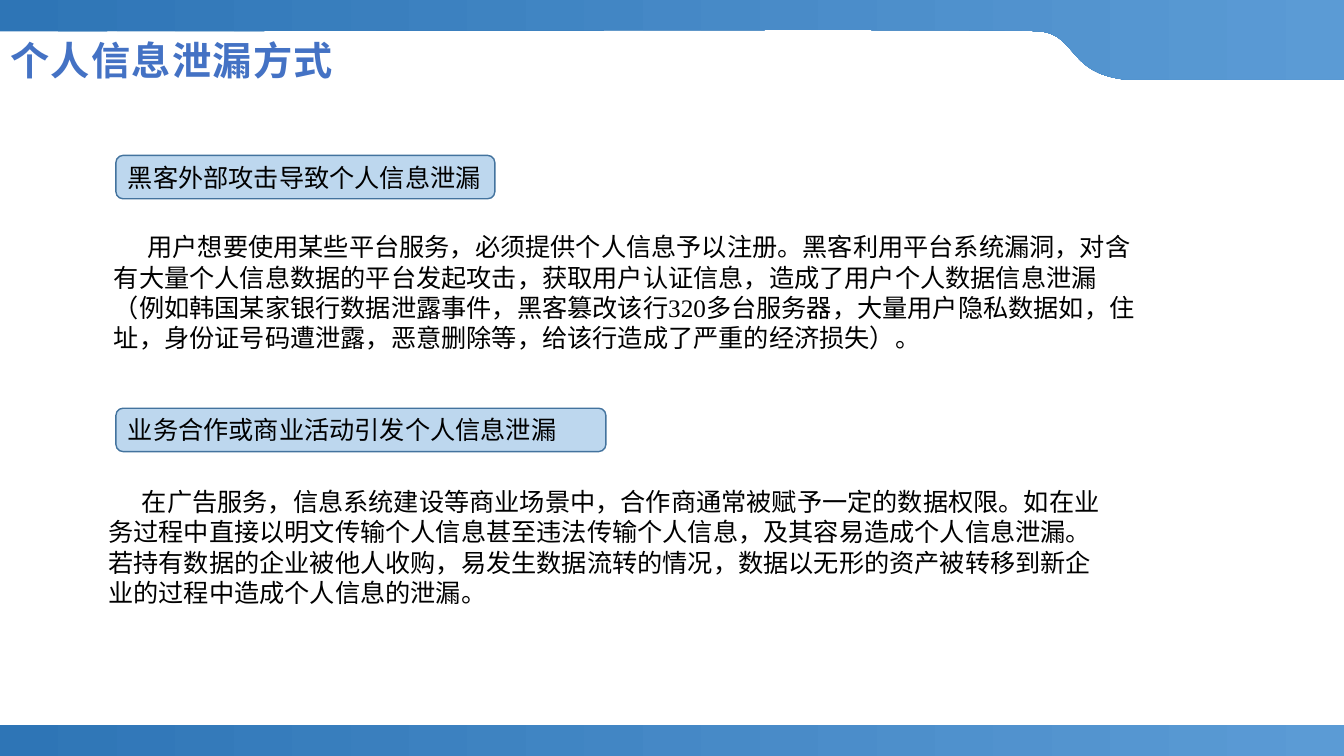
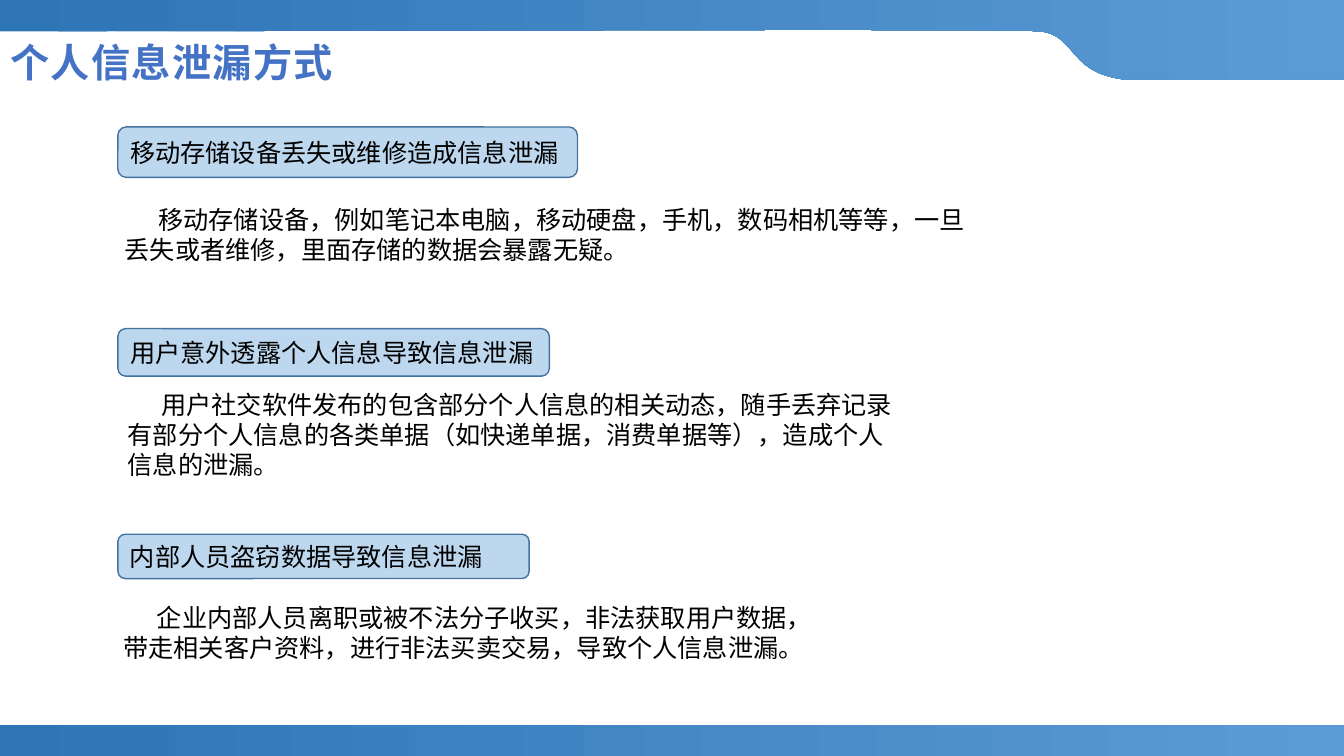
import pptx
import pptx.util
import pptx.dml.color
import pptx.enum.shapes
import pptx.enum.text
import pptx.oxml.ns
from lxml import etree

Pt = pptx.util.Pt
RGBColor = pptx.dml.color.RGBColor
Anchor = pptx.enum.text.MSO_ANCHOR
Align = pptx.enum.text.PP_ALIGN
Preset = pptx.enum.shapes.MSO_SHAPE

BAND_DARK = RGBColor(0x2E, 0x75, 0xB6)
BAND_LIGHT = RGBColor(0x5B, 0x9B, 0xD5)
TITLE_BLUE = RGBColor(0x44, 0x72, 0xC4)
LABEL_FILL = RGBColor(0xBD, 0xD7, 0xEE)
LABEL_LINE = RGBColor(0x43, 0x73, 0x9E)
BLACK = RGBColor(0, 0, 0)

WIDTH, HEIGHT = 960, 540
BAND = 22.4
TAB_HEIGHT = 56.9
CJK = "Noto Sans CJK SC"

TITLE_FONT = {"size": Pt(28), "bold": True, "name": CJK}
LABEL_FONT = {"size": Pt(18), "name": "DejaVu Sans"}
BODY_FONT = {"size": Pt(18), "name": "Times New Roman"}
TITLE_FRAME = {"vertical_anchor": Anchor.BOTTOM, "word_wrap": True,
               "auto_size": pptx.enum.text.MSO_AUTO_SIZE.NONE,
               "margin_left": Pt(7.2), "margin_top": Pt(3.6),
               "margin_right": Pt(7.2), "margin_bottom": 0}
TEXT_FRAME = {"vertical_anchor": Anchor.MIDDLE, "word_wrap": True}

SLIDES = [
    ("个人信息泄漏方式", 18.7, [
        ("黑客外部攻击导致个人信息泄漏", (82.8, 111, 270.7, 31),
         "用户想要使用某些平台服务，必须提供个人信息予以注册。黑客利用平台系统漏洞，对含有大量个人信息数据的平台发起攻击，获取用户认证信息，造成了用户个人数据信息泄漏（例如韩国某家银行数据泄露事件，黑客篡改该行320多台服务器，大量用户隐私数据如，住址，身份证号码遭泄露，恶意删除等，给该行造成了严重的经济损失）。",
         (74.2, 156.2, 747, 105)),
        ("业务合作或商业活动引发个人信息泄漏", (82.8, 291.6, 350, 31),
         "在广告服务，信息系统建设等商业场景中，合作商通常被赋予一定的数据权限。如在业务过程中直接以明文传输个人信息甚至违法传输个人信息，及其容易造成个人信息泄漏。若持有数据的企业被他人收购，易发生数据流转的情况，数据以无形的资产被转移到新企业的过程中造成个人信息的泄漏。",
         (70.2, 322.6, 724, 136)),
    ]),
    ("个人信息泄漏方式", 20.2, [
        ("移动存储设备丢失或维修造成信息泄漏", (84.2, 90.7, 328.3, 36),
         "移动存储设备，例如笔记本电脑，移动硬盘，手机，数码相机等等，一旦丢失或者维修，里面存储的数据会暴露无疑。",
         (82, 116.6, 626, 101.5)),
        ("用户意外透露个人信息导致信息泄漏", (84.2, 234.7, 308.2, 34),
         "用户社交软件发布的包含部分个人信息的相关动态，随手丢弃记录有部分个人信息的各类单据（如快递单据，消费单据等），造成个人信息的泄漏。",
         (84.2, 274.3, 565, 72)),
        ("内部人员盗窃数据导致信息泄漏", (84.2, 381.6, 293.8, 31.7),
         "企业内部人员离职或被不法分子收买，非法获取用户数据，带走相关客户资料，进行非法买卖交易，导致个人信息泄漏。",
         (81, 410.4, 510, 82.8)),
    ]),
]


def points(*values):
    return [Pt(v) for v in values]


def apply(target, formats):
    for name, value in formats.items():
        setattr(target, name, value)


def write(tf, text, frame, font, color, spacing, indent=0):
    apply(tf, frame)
    p = tf.paragraphs[0]
    apply(p, {"alignment": Align.LEFT, "line_spacing": spacing})
    p._p.get_or_add_pPr().set("indent", str(Pt(indent)))
    r = p.add_run()
    r.text = text
    apply(r.font, font)
    r.font.color.rgb = color
    etree.SubElement(r._r.get_or_add_rPr(), pptx.oxml.ns.qn("a:ea"), typeface=CJK)
    return r


def curve(start, c1, c2, end, steps=24):
    for i in range(1, steps + 1):
        t = i / steps
        u = 1 - t
        yield points(*(u**3 * a + 3 * u * u * t * b + 3 * u * t * t * c + t**3 * d
                       for a, b, c, d in zip(start, c1, c2, end)))


def paint_band(sp):
    sp.shadow.inherit = False
    sp.line.fill.background()
    sp.fill.gradient()
    sp.fill.gradient_angle = 0
    for stop, color in zip(sp.fill.gradient_stops, (BAND_DARK, BAND_LIGHT)):
        stop.color.rgb = color


def add_bands(s, layout):
    footer = s.shapes.add_shape(Preset.RECTANGLE, *points(0, HEIGHT - BAND, WIDTH, BAND))
    tab_end, shoulder = (799.2, 56.2), (743, BAND)
    outline = s.shapes.build_freeform(0, 0)
    outline.add_line_segments([points(WIDTH, 0), points(WIDTH, TAB_HEIGHT),
                               points(803.5, TAB_HEIGHT), points(*tab_end)], close=False)
    outline.add_line_segments(curve(tab_end, (763.2, 50.4), (768.2, 25.2), shoulder), close=False)
    outline.add_line_segments(curve(shoulder, (717.8, 20.2), (247.7, BAND), (0, BAND)))
    for sp in (footer, outline.convert_to_shape()):
        paint_band(sp)
        layout.shapes._spTree.insert(2, sp._element)


def add_title(s, text, box):
    title = s.shapes.title
    apply(title, dict(zip(("left", "top", "width", "height"), points(*box))))
    r = write(title.text_frame, text, TITLE_FRAME, TITLE_FONT, TITLE_BLUE, 0.9)
    r._r.get_or_add_rPr().set("spc", "100")


def add_label(s, text, box):
    sp = s.shapes.add_shape(Preset.ROUNDED_RECTANGLE, *points(*box))
    sp.shadow.inherit = False
    sp.fill.solid()
    sp.fill.fore_color.rgb = LABEL_FILL
    sp.line.color.rgb = LABEL_LINE
    sp.line.width = Pt(1)
    write(sp.text_frame, text, TEXT_FRAME, LABEL_FONT, BLACK, Pt(21.6))


def add_body(s, text, box):
    sp = s.shapes.add_textbox(*points(*box))
    write(sp.text_frame, text, TEXT_FRAME, BODY_FONT, BLACK, Pt(21.6), indent=24)


def main():
    prs = pptx.Presentation()
    prs.slide_width, prs.slide_height = points(WIDTH, HEIGHT)
    layout = prs.slide_layouts[5]
    for number, (title, top, sections) in enumerate(SLIDES):
        s = prs.slides.add_slide(layout)
        if number == 0:
            add_bands(s, layout)
        add_title(s, title, (0, top, 548.6, 41))
        for label, label_box, body, body_box in sections:
            add_label(s, label, label_box)
            add_body(s, body, body_box)
    prs.save("out.pptx")


if __name__ == "__main__":
    main()
